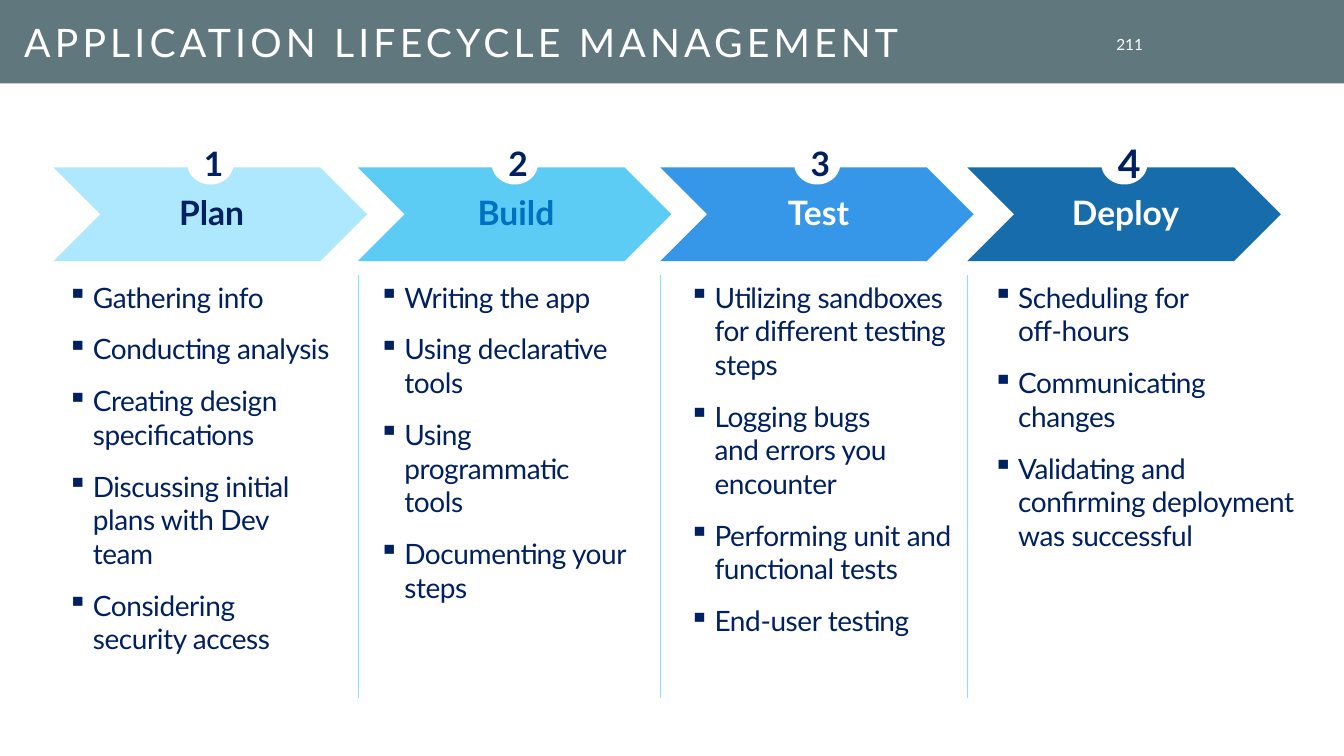
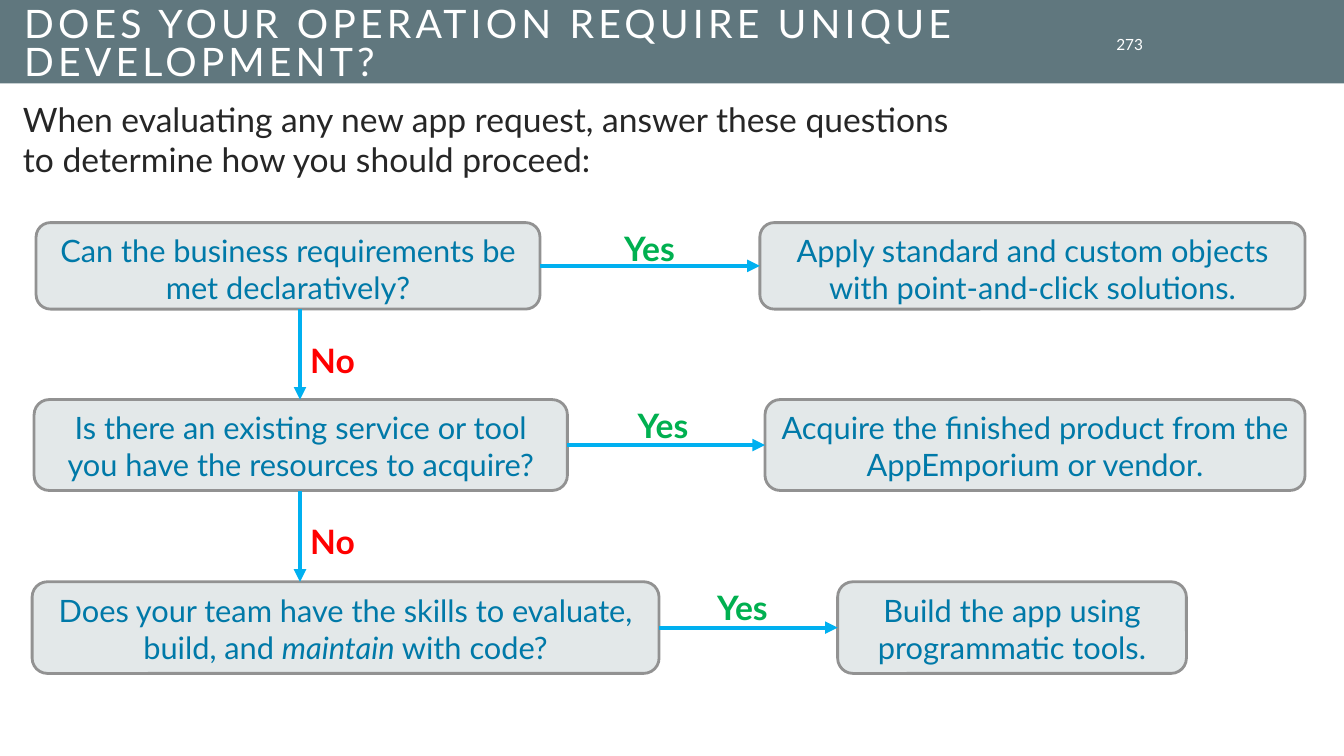
from dataclasses import dataclass, replace

from lxml import etree
from pptx import Presentation
from pptx import util as u
from pptx.dml.color import RGBColor
from pptx.enum import shapes, text
from pptx.oxml.ns import qn

WHITE = RGBColor(0xFF, 0xFF, 0xFF)
SLATE = RGBColor(0x60, 0x77, 0x7E)
NAVY = RGBColor(0x00, 0x20, 0x60)
BLUE = RGBColor(0x00, 0x70, 0xC0)
SKY = RGBColor(0x00, 0xB0, 0xF0)
PALE_SKY = RGBColor(0x8D, 0xDF, 0xFF)
INK = RGBColor(0x26, 0x26, 0x26)
TEAL = RGBColor(0x00, 0x79, 0xA8)
MIST = RGBColor(0xE3, 0xE8, 0xE9)
GRAY = RGBColor(0x92, 0x92, 0x92)
GREEN = RGBColor(0x00, 0xB0, 0x50)
RED = RGBColor(0xFF, 0x00, 0x00)

FONT = "Lato"
SLIDE_W, SLIDE_H = u.Cm(33.87), u.Cm(19.05)
LEFT, CENTER, RIGHT = text.PP_ALIGN.LEFT, text.PP_ALIGN.CENTER, text.PP_ALIGN.RIGHT
TOP, MIDDLE = text.MSO_ANCHOR.TOP, text.MSO_ANCHOR.MIDDLE
DEFAULT_INSETS = (0.25, 0.13, 0.25, 0.13)


@dataclass(frozen=True)
class Style:
    size: float
    color: RGBColor
    bold: bool = False
    italic: bool = False
    tracking: float = 0


TITLE = Style(28, WHITE, tracking=3)
PAGE = Style(11, WHITE)
ITEM = Style(20, NAVY, tracking=-0.3)
NUMBER = Style(24, NAVY, bold=True)
INTRO = Style(24, INK)
BOX = Style(22, TEAL)
YES = Style(24, GREEN, bold=True)
NO = Style(24, RED, bold=True)


@dataclass(frozen=True)
class Phase:
    name: str
    left: float
    fill: RGBColor
    opacity: int
    name_color: RGBColor
    list_left: float
    list_width: float
    items: tuple[str, ...]
    number_size: float = 24


@dataclass(frozen=True)
class Decision:
    top: float
    height: float
    question_left: float
    question_width: float
    question: tuple[str, ...]
    answer_left: float
    answer_width: float
    answer: str
    yes_left: float


PHASES = (
    Phase("Plan", 1.35, RGBColor(0x53, 0xCF, 0xFF), 47, NAVY, 1.37, 7.34,
          ("Gathering info", "Conducting analysis", "Creating design specifications",
           "Discussing initial plans with Dev team", "Considering security access")),
    Phase("Build", 9.02, SKY, 64, BLUE, 9.22, 7.06,
          ("Writing the app", "Using declarative tools", "Using programmatic tools",
           "Documenting your steps")),
    Phase("Test", 16.64, RGBColor(0x00, 0x7C, 0xE2), 79, WHITE, 17.04, 7.29,
          ("Utilizing sandboxes for different testing steps",
           "Logging bugs\nand errors you encounter",
           "Performing unit and functional tests", "End-user testing")),
    Phase("Deploy", 24.38, RGBColor(0x00, 0x5E, 0xA4), 91, WHITE, 24.69, 8.31,
          ("Scheduling for\noff-hours", "Communicating changes",
           "Validating and confirming deployment was successful"), 28),
)

DECISIONS = (
    Decision(5.61, 2.18, 0.91, 12.7, ("Can the business requirements be met declaratively?",),
             19.15, 13.74, "Apply standard and custom objects with point-and-click solutions.",
             15.24),
    Decision(10.07, 2.29, 0.86, 13.44,
             ("Is there an existing service or tool you have the resources to acquire?",),
             19.28, 13.61, "Acquire the finished product from the AppEmporium or vendor.", 15.58),
    Decision(14.66, 2.31, 0.81, 15.8,
             ("Does your team have the skills to evaluate, build, and ", "maintain", " with code?"),
             21.11, 8.79, "Build the app using programmatic tools.", 17.58),
)


def add_run(p, content: str, style: Style) -> None:
    r = p.add_run()
    r.text = content
    f = r.font
    f.name, f.size, f.bold, f.italic = FONT, u.Pt(style.size), style.bold, style.italic
    f.color.rgb = style.color
    if style.tracking:
        r._r.get_or_add_rPr().set("spc", str(round(style.tracking * 100)))


def add_lines(p, content: str, style: Style) -> None:
    for i, line in enumerate(content.split("\n")):
        if i:
            p.add_line_break()
        add_run(p, line, style)


def set_frame(tf, anchor=TOP, insets=DEFAULT_INSETS, wrap: bool = True) -> None:
    tf.word_wrap = wrap
    tf.vertical_anchor = anchor
    tf.margin_left, tf.margin_top, tf.margin_right, tf.margin_bottom = map(u.Cm, insets)


def add_text(s, box, content: str, style: Style, align=LEFT, anchor=TOP,
             insets=DEFAULT_INSETS, wrap: bool = True, spacing: float | None = None) -> None:
    tf = s.shapes.add_textbox(*map(u.Cm, box)).text_frame
    set_frame(tf, anchor, insets, wrap)
    p = tf.paragraphs[0]
    p.alignment = align
    p.line_spacing = spacing
    add_run(p, content, style)


def add_filled(s, kind, box, fill: RGBColor, opacity: int = 100):
    sp = s.shapes.add_shape(kind, *map(u.Cm, box))
    sp.shadow.inherit = False
    sp.fill.solid()
    sp.fill.fore_color.rgb = fill
    if opacity < 100:
        color = sp._element.spPr.find(f"{qn('a:solidFill')}/{qn('a:srgbClr')}")
        etree.SubElement(color, qn("a:alpha"), val=str(opacity * 1000))
    sp.line.fill.background()
    return sp


def add_line(s, start, end, color: RGBColor, width: float, arrow: bool = False):
    line = s.shapes.add_connector(shapes.MSO_CONNECTOR.STRAIGHT, *map(u.Cm, start + end))
    line.line.color.rgb = color
    line.line.width = u.Pt(width)
    if arrow:
        etree.SubElement(line.line._get_or_add_ln(), qn("a:tailEnd"), type="triangle")
    etree.SubElement(line._element.spPr, qn("a:effectLst"))
    return line


def add_slide(prs, title: str, page: str):
    s = prs.slides.add_slide(prs.slide_layouts[6])
    add_filled(s, shapes.MSO_SHAPE.RECTANGLE, (0, 0, 33.87, 2.1), SLATE)
    add_text(s, (27.71, 0.84, 1.35, 0.56), page, PAGE, RIGHT, MIDDLE, (0.25, 0, 0.25, 0))
    add_text(s, (0.36, 0, 27.36, 2.08), title, TITLE, anchor=MIDDLE,
             insets=(0.25, 0.38, 0.25, 0.13), spacing=0.8)
    return s


def add_bullets(s, box, items: tuple[str, ...]) -> None:
    tf = s.shapes.add_textbox(*map(u.Cm, box)).text_frame
    set_frame(tf, insets=(0.33, 0.18, 0.33, 0.18))
    for i, item in enumerate(items):
        p = tf.add_paragraph() if i else tf.paragraphs[0]
        pPr = p._p.get_or_add_pPr()
        indent = u.Cm(0.64)
        pPr.set("marL", str(indent))
        pPr.set("indent", str(-indent))
        etree.SubElement(pPr, qn("a:buChar"), char="▪")
        if i:
            p.space_before = u.Pt(3)
        p.space_after = u.Pt(10)
        add_lines(p, item, ITEM)


def add_phase(s, number: int, phase: Phase) -> None:
    top, height = 4.22, 2.36
    add_filled(s, shapes.MSO_SHAPE.CHEVRON, (phase.left, top, 7.9, height),
               phase.fill, phase.opacity)
    add_text(s, (phase.left + 1.17, top, 5.56, height), phase.name,
             Style(24, phase.name_color, bold=True), CENTER, MIDDLE,
             (0.1, 0.03, 0.03, 0.03), False, 0.9)
    badge = add_filled(s, shapes.MSO_SHAPE.OVAL, (phase.left + 3.37, 3.58, 1.17, 1.07), WHITE)
    set_frame(badge.text_frame, MIDDLE)
    p = badge.text_frame.paragraphs[0]
    p.alignment = CENTER
    add_run(p, str(number), replace(NUMBER, size=phase.number_size))
    add_bullets(s, (phase.list_left, 6.88, phase.list_width, 10.74), phase.items)
    if number > 1:
        add_line(s, (phase.left, 6.93), (phase.left, 17.58), PALE_SKY, 0.5)


def add_box(s, box, parts: tuple[str, ...]):
    sp = add_filled(s, shapes.MSO_SHAPE.ROUNDED_RECTANGLE, box, MIST)
    sp.line.color.rgb = GRAY
    sp.line.width = u.Pt(2)
    set_frame(sp.text_frame)
    p = sp.text_frame.paragraphs[0]
    p.alignment = CENTER
    for i, part in enumerate(parts):
        add_run(p, part, replace(BOX, italic=i % 2 == 1))
    return sp


def add_decision(s, d: Decision) -> None:
    question = add_box(s, (d.question_left, d.top, d.question_width, d.height), d.question)
    answer = add_box(s, (d.answer_left, d.top, d.answer_width, d.height), (d.answer,))
    middle = d.top + d.height / 2
    arrow = add_line(s, (d.question_left + d.question_width, middle), (d.answer_left, middle),
                     SKY, 3, arrow=True)
    arrow.begin_connect(question, 3)
    arrow.end_connect(answer, 1)
    add_text(s, (d.yes_left, d.top, 2.26, 1.27), "Yes", YES, CENTER)


def build_lifecycle(prs) -> None:
    s = add_slide(prs, "APPLICATION LIFECYCLE MANAGEMENT", "211")
    for number, phase in enumerate(PHASES, 1):
        add_phase(s, number, phase)


def build_decisions(prs) -> None:
    s = add_slide(prs, "DOES YOUR OPERATION REQUIRE UNIQUE DEVELOPMENT?", "273")
    add_text(s, (0.33, 2.36, 24.74, 2.69),
             "When evaluating any new app request, answer these questions "
             "to determine how you should proceed:", INTRO)
    for d in DECISIONS:
        add_decision(s, d)
    for upper, lower in zip(DECISIONS, DECISIONS[1:]):
        bottom = upper.top + upper.height
        add_line(s, (7.56, bottom), (7.56, lower.top), SKY, 3, arrow=True)
        add_text(s, (7.25, bottom + 0.64, 2.26, 1.27), "No", NO, CENTER)


def main() -> None:
    prs = Presentation()
    prs.slide_width, prs.slide_height = SLIDE_W, SLIDE_H
    build_lifecycle(prs)
    build_decisions(prs)
    prs.save("out.pptx")


if __name__ == "__main__":
    main()
